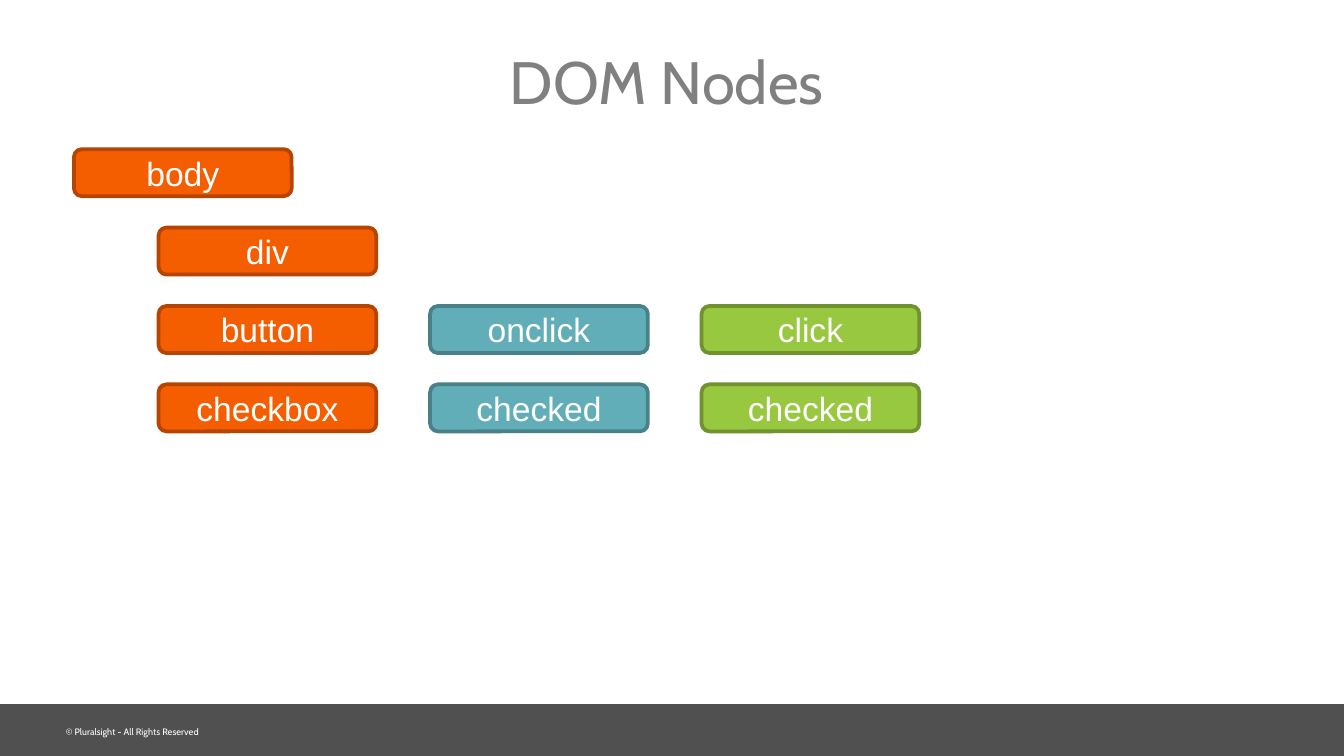
from pptx import Presentation
from pptx import util as u
from pptx.dml.color import RGBColor
from pptx.enum import shapes, text

SLIDE_WIDTH = 10
SLIDE_HEIGHT = SLIDE_WIDTH * 9 / 16
FOOTER_TOP = 5.24

ORANGE = ("F45D00", "B54500")
TEAL = ("62AEB8", "498188")
GREEN = ("98C740", "70932F")

ROOT_LEFT, CHILD_LEFT, COLUMN_STEP = 0.55, 1.18, 2.02
FIRST_TOP, LAST_TOP = 1.11, 2.86
NODE_WIDTH, NODE_HEIGHT = 1.62, 0.35

# Each row: left edge, then labels from left to right
NODE_ROWS = [
    (ROOT_LEFT, ["body"]),
    (CHILD_LEFT, ["div"]),
    (CHILD_LEFT, ["button", "onclick", "click"]),
    (CHILD_LEFT, ["checkbox", "checked", "checked"]),
]
ROW_STEP = (LAST_TOP - FIRST_TOP) / (len(NODE_ROWS) - 1)


def color(value):
    return RGBColor.from_string(value)


def write(sp, words, size, font="Cabin", fill="FFFFFF", align=text.PP_ALIGN.LEFT,
          anchor=text.MSO_ANCHOR.TOP, margins=(0, 0, 0, 0), spacing=None):
    """Fill a shape with one formatted paragraph; margins run left, top, right, bottom."""
    tf = sp.text_frame
    tf.word_wrap = True
    tf.vertical_anchor = anchor
    tf.margin_left, tf.margin_top, tf.margin_right, tf.margin_bottom = map(u.Inches, margins)
    p = tf.paragraphs[0]
    p.alignment = align
    p.line_spacing = spacing
    r = p.add_run()
    r.text = words
    r.font.size = u.Pt(size)
    r.font.name = font
    r.font.color.rgb = color(fill)


def add_box(s, kind, left, top, width, height, fill, line=None):
    sp = s.shapes.add_shape(kind, *map(u.Inches, (left, top, width, height)))
    sp.shadow.inherit = False
    sp.fill.solid()
    sp.fill.fore_color.rgb = color(fill)
    if line:
        sp.line.color.rgb = color(line)
        sp.line.width = u.Pt(2)
    else:
        sp.line.fill.background()
    return sp


def add_text(s, words, left, top, width, height, **fmt):
    sp = s.shapes.add_textbox(*map(u.Inches, (left, top, width, height)))
    write(sp, words, **fmt)


def add_node(s, label, left, top, colors):
    sp = add_box(s, shapes.MSO_SHAPE.ROUNDED_RECTANGLE, left, top,
                 NODE_WIDTH, NODE_HEIGHT, *colors)
    write(sp, label, size=18, font="Arial", align=text.PP_ALIGN.CENTER,
          anchor=text.MSO_ANCHOR.MIDDLE, margins=(0.1, 0.05, 0.1, 0.05))


def main():
    prs = Presentation()
    prs.slide_width, prs.slide_height = u.Inches(SLIDE_WIDTH), u.Inches(SLIDE_HEIGHT)
    s = prs.slides.add_slide(prs.slide_layouts[6])

    add_box(s, shapes.MSO_SHAPE.RECTANGLE, 0, FOOTER_TOP,
            SLIDE_WIDTH, SLIDE_HEIGHT - FOOTER_TOP, "505050")
    add_text(s, "© Pluralsight - All Rights Reserved", 0.49, 5.4, 4.26, 0.08, size=5)
    add_text(s, "DOM Nodes", 0.5, 0.27, 9.02, 0.74, size=32, fill="808080",
             align=text.PP_ALIGN.CENTER, anchor=text.MSO_ANCHOR.MIDDLE,
             margins=(0, 0.05, 0.1, 0.05), spacing=0.85)

    for row, (left, labels) in enumerate(NODE_ROWS):
        for column, (label, colors) in enumerate(zip(labels, (ORANGE, TEAL, GREEN))):
            add_node(s, label, left + column * COLUMN_STEP,
                     FIRST_TOP + row * ROW_STEP, colors)

    prs.save("out.pptx")


if __name__ == "__main__":
    main()
